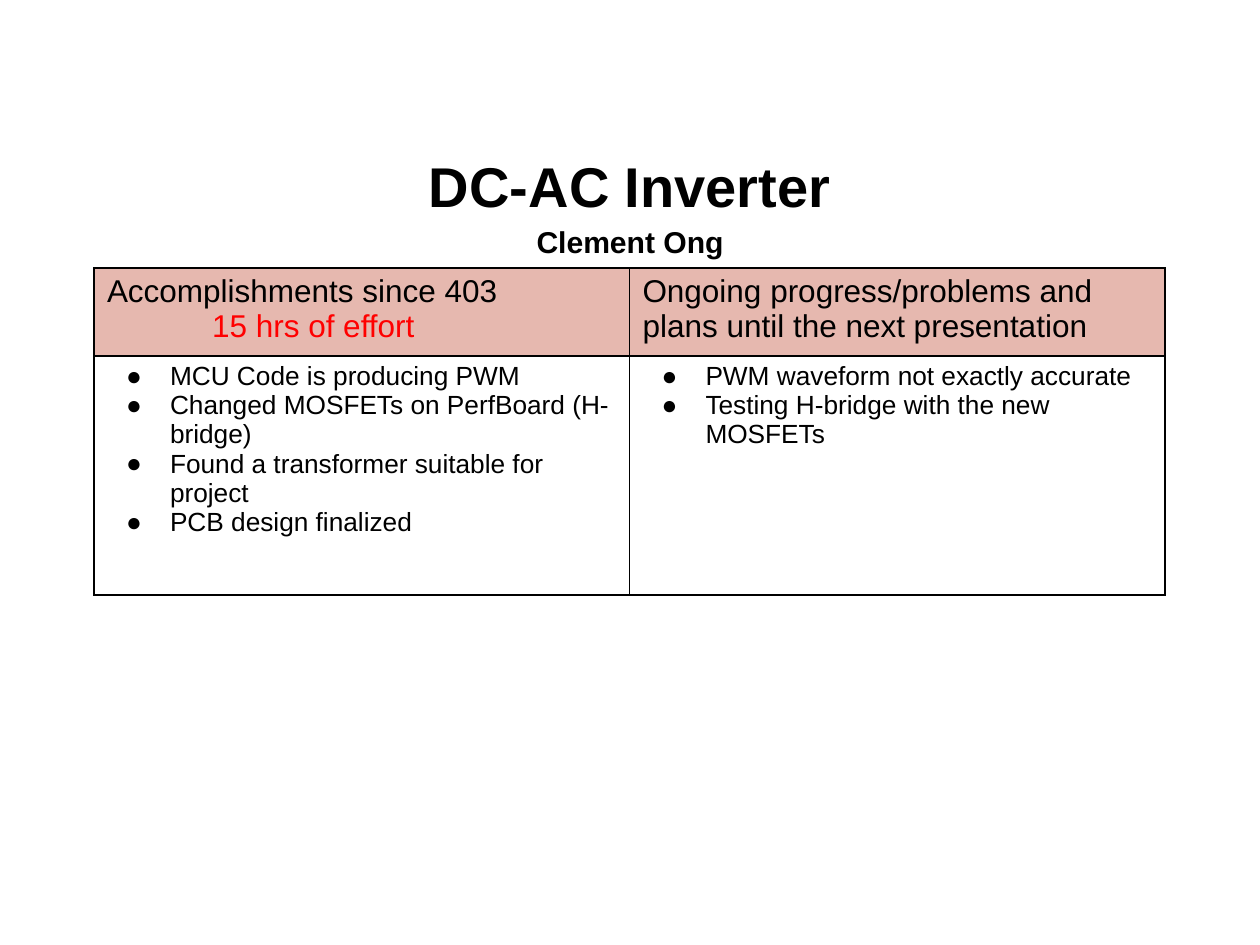
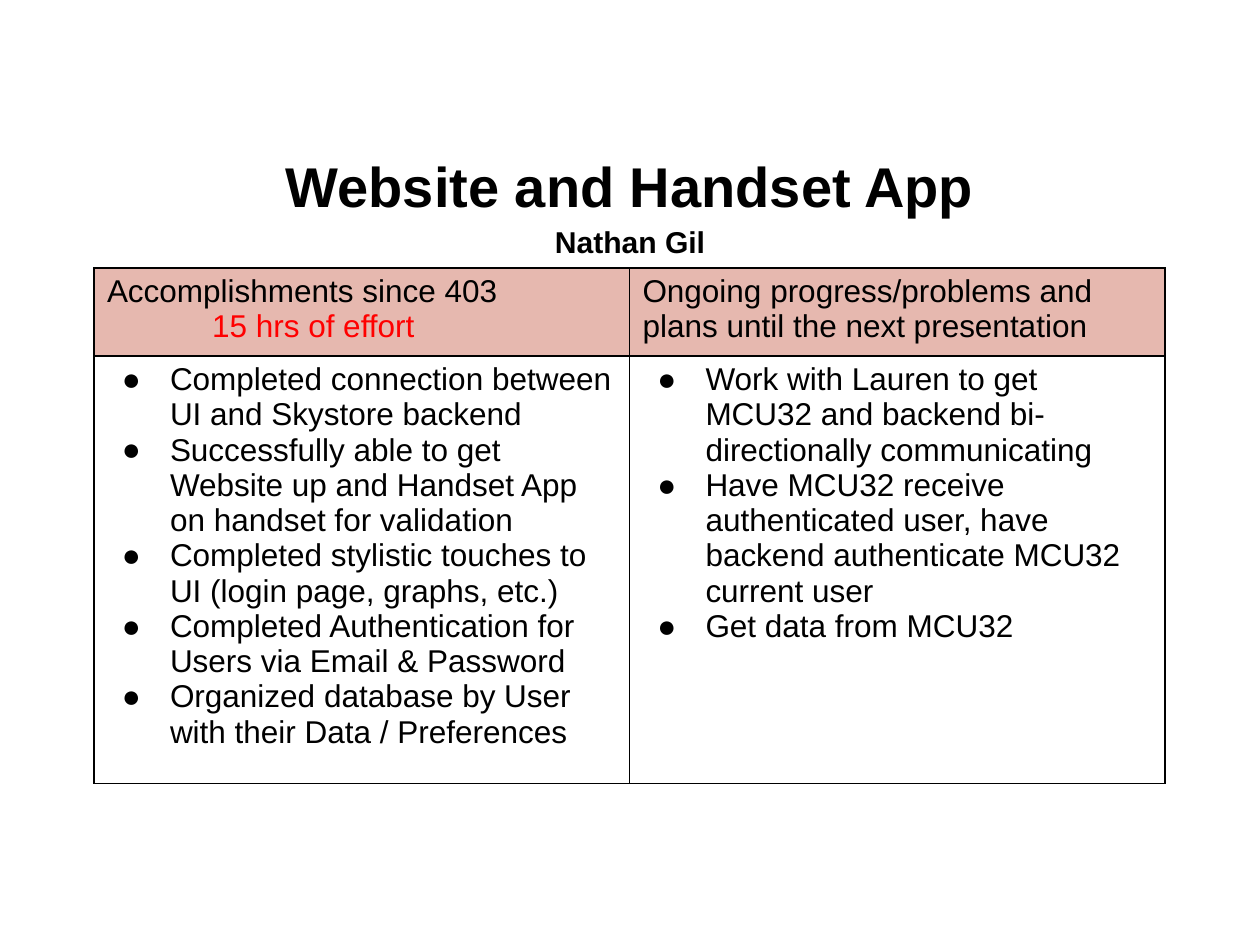
from lxml import etree
from pptx import Presentation
from pptx.dml.color import RGBColor
from pptx.enum import text
from pptx.oxml import ns
from pptx.util import Emu, Pt

SCALE = 914400 / 126
FONT = "Arial"
BLACK = "000000"
RED = "FF0000"
HEADER_PINK = "E6B8AF"

TITLE_BOX = (63, 145, 1134, 111)
TABLE_BOX = (94, 268, 1071, 327)
HEADER_HEIGHT = 88
EFFORT_INDENT = 105
BULLET_INDENT = 63

ACCOMPLISHED = "Accomplishments since 403"
EFFORT = "15 hrs of effort"
ONGOING = "Ongoing progress/problems and plans until the next presentation"

REPORTS = [
    {
        "topic": "DC-AC Inverter",
        "member": "Clement Ong",
        "size": 15,
        "hanging": 44,
        "columns": [
            [
                "MCU Code is producing PWM",
                "Changed MOSFETs on PerfBoard (H-bridge)",
                "Found a transformer suitable for project",
                "PCB design finalized",
            ],
            [
                "PWM waveform not exactly accurate",
                "Testing H-bridge with the new MOSFETs",
            ],
        ],
    },
    {
        "topic": "Website and Handset App",
        "member": "Nathan Gil",
        "size": 18,
        "hanging": 48,
        "columns": [
            [
                "Completed connection between UI and Skystore backend",
                "Successfully able to get Website up and Handset App on handset for validation",
                "Completed stylistic touches to UI (login page, graphs, etc.)",
                "Completed Authentication for Users via Email & Password",
                "Organized database by User with their Data / Preferences",
            ],
            [
                "Work with Lauren to get MCU32 and backend bi-directionally communicating",
                "Have MCU32 receive authenticated user, have backend authenticate MCU32 current user",
                "Get data from MCU32",
            ],
        ],
    },
]


def px(length):
    return Emu(round(length * SCALE))


def color(value):
    return RGBColor.from_string(value)


def style(paragraph, size, shade=BLACK, bold=False):
    for run in paragraph.runs:
        run.font.name = FONT
        run.font.size = Pt(size)
        run.font.bold = bold
        run.font.color.rgb = color(shade)


def indent(paragraph, left, hanging=0):
    properties = paragraph._p.get_or_add_pPr()
    properties.set("marL", str(px(left)))
    properties.set("indent", str(-px(hanging)))
    return properties


def add_bullet(paragraph, hanging):
    properties = indent(paragraph, BULLET_INDENT, hanging)
    bullet_color = etree.SubElement(properties, ns.qn("a:buClr"))
    etree.SubElement(bullet_color, ns.qn("a:srgbClr"), val=BLACK)
    etree.SubElement(properties, ns.qn("a:buFont"), typeface=FONT)
    etree.SubElement(properties, ns.qn("a:buChar"), char="●")


def add_borders(cell):
    properties = cell._tc.get_or_add_tcPr()
    for position, side in enumerate(("L", "R", "T", "B")):
        line = etree.Element(ns.qn(f"a:ln{side}"), w=str(Pt(1)))
        fill = etree.SubElement(line, ns.qn("a:solidFill"))
        etree.SubElement(fill, ns.qn("a:srgbClr"), val=BLACK)
        properties.insert(position, line)


def add_title(slide, box, topic, member):
    frame = slide.shapes.add_textbox(*map(px, box)).text_frame
    frame.word_wrap = True
    frame.vertical_anchor = text.MSO_ANCHOR.MIDDLE
    frame.text = f"{topic}\n{member}"
    for paragraph, size in zip(frame.paragraphs, (32, 17.2)):
        paragraph.alignment = text.PP_ALIGN.CENTER
        paragraph.line_spacing = 1.15
        style(paragraph, size, bold=True)


def fill_header(done, ongoing):
    done.text = f"{ACCOMPLISHED}\n{EFFORT}"
    ongoing.text = ONGOING
    for cell in (done, ongoing):
        cell.fill.solid()
        cell.fill.fore_color.rgb = color(HEADER_PINK)
        for paragraph in cell.text_frame.paragraphs:
            style(paragraph, 18)
    effort = done.text_frame.paragraphs[1]
    indent(effort, EFFORT_INDENT)
    style(effort, 18, RED)


def fill_items(cell, items, size, hanging):
    cell.fill.background()
    cell.text = "\n".join(items)
    for paragraph in cell.text_frame.paragraphs:
        add_bullet(paragraph, hanging)
        style(paragraph, size)


def add_progress_table(slide, box, report):
    left, top, width, height = box
    table = slide.shapes.add_table(2, 2, *map(px, box)).table
    table.first_row = False
    table.horz_banding = False
    for column in table.columns:
        column.width = px(width / 2)
    table.rows[0].height = px(HEADER_HEIGHT)
    table.rows[1].height = px(height - HEADER_HEIGHT)
    fill_header(table.cell(0, 0), table.cell(0, 1))
    for index, items in enumerate(report["columns"]):
        fill_items(table.cell(1, index), items, report["size"], report["hanging"])
    for cell in table.iter_cells():
        cell.margin_left = cell.margin_right = px(13)
        cell.margin_top = cell.margin_bottom = px(6)
        add_borders(cell)


def add_report(deck, report):
    slide = deck.slides.add_slide(deck.slide_layouts[6])
    add_title(slide, TITLE_BOX, report["topic"], report["member"])
    add_progress_table(slide, TABLE_BOX, report)


def main():
    deck = Presentation()
    deck.slide_width = px(1260)
    deck.slide_height = px(945)
    for report in REPORTS:
        add_report(deck, report)
    deck.save("out.pptx")


if __name__ == "__main__":
    main()
